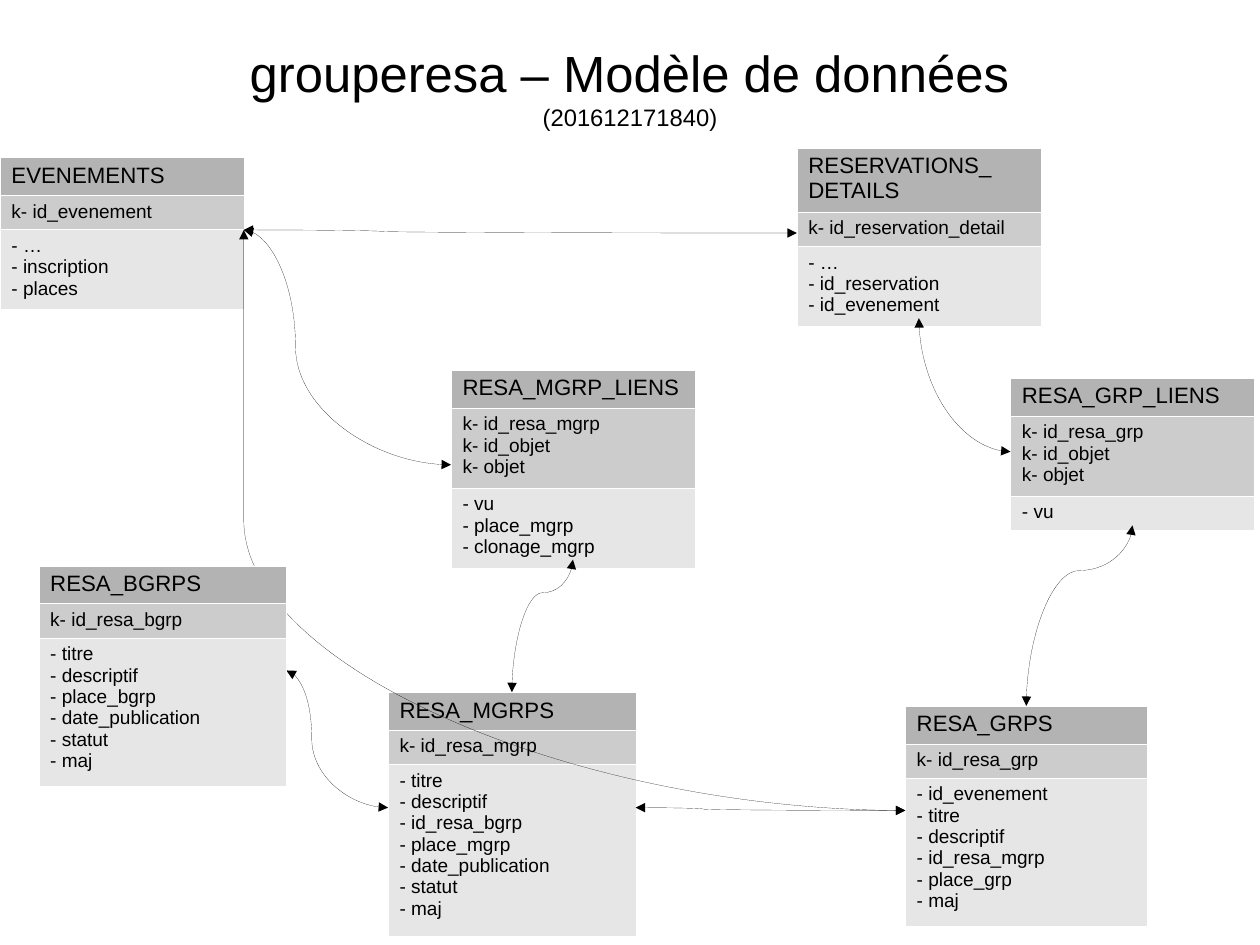
from lxml.etree import SubElement
from pptx import Presentation
from pptx.dml.color import RGBColor
from pptx.enum.shapes import MSO_CONNECTOR as Conn
from pptx.enum.text import MSO_ANCHOR as Anchor, MSO_AUTO_SIZE as Auto, PP_ALIGN as Align
from pptx.oxml.ns import qn
from pptx.util import Inches, Pt

BLACK = RGBColor(0x00, 0x00, 0x00)
FILLS = [RGBColor(0xB3, 0xB3, 0xB3), RGBColor(0xCC, 0xCC, 0xCC), RGBColor(0xE6, 0xE6, 0xE6)]
FONT = "Arial"
TITLE = [("grouperesa – Modèle de données", 32), ("(201612171840)", 15)]

# name: (left, top, width, link height) in % of the slide, keys, fields
TABLES = {
    "RESA_MGRPS": ((30.8, 73.25, 19.65, 24.43), ["id_resa_mgrp"],
                   ["titre", "descriptif", "id_resa_bgrp", "place_mgrp",
                    "date_publication", "statut", "maj"]),
    "EVENEMENTS": ((0, 16.65, 19.35, 15.36), ["id_evenement"],
                   ["…", "inscription", "places"]),
    "RESA_GRP_LIENS": ((80.2, 40, 19.35, 15.6), ["id_resa_grp", "id_objet", "objet"],
                       ["vu"]),
    "RESA_GRPS": ((71.85, 74.7, 19.2, 22.13), ["id_resa_grp"],
                  ["id_evenement", "titre", "descriptif", "id_resa_mgrp", "place_grp", "maj"]),
    "RESA_MGRP_LIENS": ((35.8, 39.15, 19.35, 20.07), ["id_resa_mgrp", "id_objet", "objet"],
                        ["vu", "place_mgrp", "clonage_mgrp"]),
    "RESERVATIONS_\nDETAILS": ((63.25, 15.65, 19.35, 18.02), ["id_reservation_detail"],
                               ["…", "id_reservation", "id_evenement"]),
    "RESA_BGRPS": ((3.08, 59.88, 19.65, 22.13), ["id_resa_bgrp"],
                   ["titre", "descriptif", "place_bgrp", "date_publication", "statut", "maj"]),
}
# from, side, to, side, bend (None: a single quarter curve)
LINKS = [
    ("EVENEMENTS", "right", "RESA_MGRP_LIENS", "left", 0.25),
    ("EVENEMENTS", "right", "RESERVATIONS_\nDETAILS", "left", 0.25),
    ("RESERVATIONS_\nDETAILS", "bottom", "RESA_GRP_LIENS", "left", None),
    ("RESA_GRP_LIENS", "bottom", "RESA_GRPS", "top", 0.25),
    ("RESA_GRPS", "left", "EVENEMENTS", "right", 1),
    ("RESA_MGRPS", "right", "RESA_GRPS", "left", 0.25),
    ("RESA_MGRP_LIENS", "bottom", "RESA_MGRPS", "top", 0.25),
    ("RESA_BGRPS", "right", "RESA_MGRPS", "left", 0.25),
]
SIDES = {"top": (0.5, 0), "left": (0, 0.5), "bottom": (0.5, 1), "right": (1, 0.5)}

W, H = Pt(793.75), Pt(595.25)
deck = Presentation()
deck.slide_width = W
deck.slide_height = H
slide = deck.slides.add_slide(deck.slide_layouts[5])
shapes = slide.shapes


def style(font, size):
    for key, val in {"name": FONT, "size": Pt(size), "bold": False}.items():
        setattr(font, key, val)
    font.color.rgb = BLACK


def place(box):
    x, y, w, h = box
    return [int(v / 100) for v in (x * W, y * H, w * W, h * H)]


def add_title():
    head = shapes.title
    head.left, head.top, head.width, head.height = place((5, 4, 90, 10.3))
    frame = head.text_frame
    for key, val in {"margin_left": 0, "margin_top": 0, "margin_right": 0, "margin_bottom": 0,
                     "vertical_anchor": Anchor.MIDDLE, "word_wrap": True,
                     "auto_size": Auto.NONE}.items():
        setattr(frame, key, val)
    para = frame.paragraphs[0]
    para.alignment = Align.CENTER
    for i, (text, size) in enumerate(TITLE):
        if i:
            para.add_line_break()
        run = para.add_run()
        run.text = text
        style(run.font, size)


def edge(cell):
    """Give a cell hairline white borders."""
    props = cell._tc.get_or_add_tcPr()
    for side in "LRTB":
        line = SubElement(props, qn(f"a:ln{side}"), w="762")
        SubElement(SubElement(line, qn("a:solidFill")), qn("a:srgbClr"), val="FFFFFF")


def add_entity(name):
    box, keys, fields = TABLES[name]
    parts = [name.split("\n"), [f"k- {k}" for k in keys], [f"- {f}" for f in fields]]
    sizes = [14, 12, 12]
    highs = [Inches(0.1 + (0.23 if size == 14 else 0.2) * len(part))
             for part, size in zip(parts, sizes)]
    x, y, w, _ = place(box)
    grid = shapes.add_table(3, 1, x, y, w, sum(highs)).table
    grid.first_row = grid.horz_banding = False
    for i, (part, size, high, fill) in enumerate(zip(parts, sizes, highs, FILLS)):
        grid.rows[i].height = high
        cell = grid.cell(i, 0)
        edge(cell)
        cell.fill.solid()
        cell.fill.fore_color.rgb = fill
        cell.text = "\n".join(part)
        for para in cell.text_frame.paragraphs:
            style(para.runs[0].font, size)


def pin(name, side):
    x, y, w, h = place(TABLES[name][0])
    a, b = SIDES[side]
    return x + a * w, y + b * h


def add_link(start, out, end, into, bend):
    """Draw a curve that leaves its table square to the side."""
    (x1, y1), (x2, y2) = pin(start, out), pin(end, into)
    w, h = abs(x2 - x1), abs(y2 - y1)
    turn, flip = {"right": 0, "left": 180, "bottom": 90}[out], False
    if out == "bottom":
        w, h = h, w
        if x2 > x1:
            turn, flip = 270, True
    x, y = (x1 + x2 - w) / 2, (y1 + y2 - h) / 2
    link = shapes.add_connector(Conn.CURVE, int(x), int(y), int(x + w), int(y + h))
    link.line.color.rgb = BLACK
    props = link._element.spPr
    frame, geom, line = [props.find(qn(f"a:{tag}")) for tag in ("xfrm", "prstGeom", "ln")]
    line.set("w", "0")
    if turn:
        frame.set("rot", str(turn * 60000))
    if flip:
        frame.set("flipH", "1")
    if bend is None:
        geom.set("prst", "curvedConnector2")
    else:
        SubElement(geom.find(qn("a:avLst")), qn("a:gd"), name="adj1",
                   fmla=f"val {int(bend * 100000)}")
    for tip in ("headEnd", "tailEnd"):
        SubElement(line, qn(f"a:{tip}"), type="triangle")
    SubElement(props, qn("a:effectLst"))


add_title()
*back, front = TABLES
for name in back:
    add_entity(name)
for link in LINKS:
    add_link(*link)
add_entity(front)
deck.save("out.pptx")
